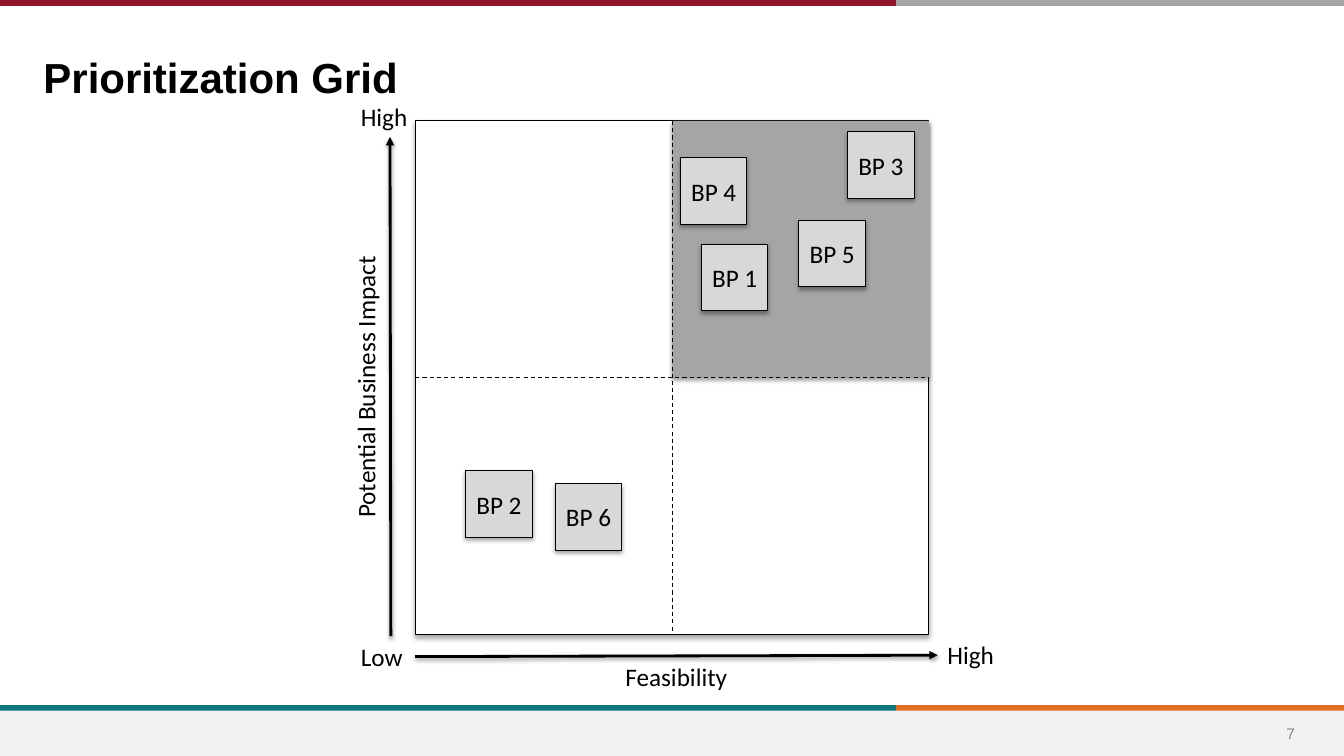
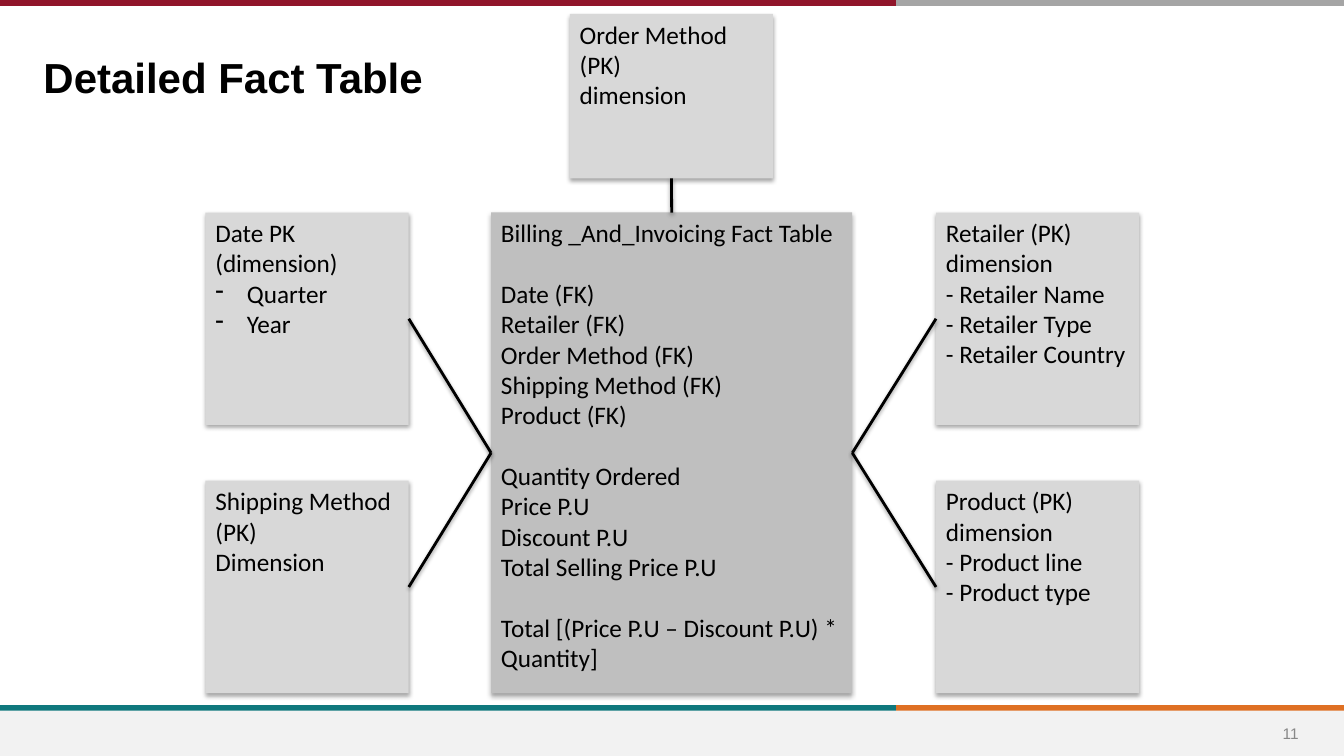
from dataclasses import dataclass
from typing import NamedTuple

from lxml import etree
from pptx import Presentation
from pptx.dml.color import RGBColor
from pptx.enum.dml import MSO_LINE
from pptx.enum.shapes import MSO_CONNECTOR, MSO_SHAPE
from pptx.enum.text import MSO_ANCHOR, PP_ALIGN
from pptx.oxml.ns import qn
from pptx.shapes.autoshape import Shape
from pptx.shapes.connector import Connector
from pptx.slide import Slide
from pptx.text.text import TextFrame
from pptx.util import Pt

RECT = MSO_SHAPE.RECTANGLE
LINE = MSO_CONNECTOR.STRAIGHT
DASH = MSO_LINE.DASH
LEFT, MID = PP_ALIGN.LEFT, PP_ALIGN.CENTER
TOP, CORE = MSO_ANCHOR.TOP, MSO_ANCHOR.MIDDLE
NORTH, WEST, SOUTH, EAST = range(4)


@dataclass(frozen=True)
class Theme:
    ink: str = "000000"
    white: str = "FFFFFF"
    red: str = "90152A"
    gray: str = "A5A5A5"
    teal: str = "0F787D"
    amber: str = "DF7023"
    foot: str = "F2F2F2"
    note: str = "888888"
    card: str = "D8D8D8"
    fact: str = "BFBFBF"
    head: str = "Arial"
    body: str = "Calibri"
    title: float = 30
    text: float = 18
    small: float = 11
    thin: float = 0.75
    bold: float = 2
    band: float = 4


T = Theme()


class Box(NamedTuple):
    x: float
    y: float
    w: float
    h: float


class Para(NamedTuple):
    text: str
    gap: float = 0
    mark: str = ""


class Tile(NamedTuple):
    name: str
    x: float
    y: float


class Label(NamedTuple):
    name: str
    box: Box
    turn: float = 0


class Dim(NamedTuple):
    box: Box
    paras: list[Para]
    side: int
    port: int


WIDE, HIGH = 960, 540
SPLIT = 640
GAP = 22
SIDE = 367
GRID = Box(296.6, 86.4, SIDE, SIDE)
TILE = 47.6
TILES = [
    Tile("BP 3", 605.4, 94.2), Tile("BP 4", 486, 112.8),
    Tile("BP 2", 332.6, 336.4), Tile("BP 1", 501, 174.4),
    Tile("BP 5", 570.6, 157.4), Tile("BP 6", 396.6, 345.4),
]
LABELS = [
    Label("Low", Box(250.6, 454.6, 57, 29)),
    Label("High", Box(669.6, 453.4, 57, 29)),
    Label("High", Box(250.6, 68.6, 57, 29)),
    Label("Feasibility", Box(439.6, 468.8, 142, 30)),
    Label("Potential Business Impact", Box(155.6, 257, 211, 29), 270),
]

ROWS, COLS = (151.8, 343.4), (146.8, 668.6)
CARD = (145.2, 151.8)
FACT = Box(350.8, ROWS[0], 258, 343.4)
FIELDS = [
    Para("Billing _And_Invoicing Fact Table"),
    Para("Date (FK)", GAP), Para("Retailer (FK)"),
    Para("Order Method (FK)"), Para("Shipping Method (FK)"),
    Para("Product (FK)"),
    Para("Quantity Ordered", GAP), Para("Price P.U"),
    Para("Discount P.U"), Para("Total Selling Price P.U"),
    Para("Total [(Price P.U – Discount P.U) * Quantity]", GAP),
]
DIMS = [
    Dim(Box(COLS[1], ROWS[0], *CARD), [
        Para("Retailer (PK) dimension"), Para("- Retailer Name"),
        Para("- Retailer Type"), Para("- Retailer Country"),
    ], WEST, EAST),
    Dim(Box(COLS[1], ROWS[1], *CARD), [
        Para("Product (PK) dimension"), Para("- Product line"),
        Para("- Product type"),
    ], WEST, EAST),
    Dim(Box(COLS[0], ROWS[0], *CARD), [
        Para("Date PK (dimension)"), Para("Quarter", mark="-"),
        Para("Year", mark="-"),
    ], EAST, WEST),
    Dim(Box(COLS[0], ROWS[1], *CARD), [
        Para("Shipping Method (PK)"), Para("Dimension"),
    ], EAST, WEST),
    Dim(Box(407, 10, CARD[0], 117.4), [
        Para("Order Method (PK)"), Para("dimension"),
    ], SOUTH, NORTH),
]


def tint(code: str) -> RGBColor:
    return RGBColor.from_string(code)


def node(root: etree._Element, tag: str, **attrs: str) -> etree._Element:
    return etree.SubElement(root, qn(tag), attrs)


def shade(item: Shape | Connector, dist: float, alpha: int) -> None:
    props = item.element.spPr
    for old in props.findall(qn("a:effectLst")):
        props.remove(old)
    fx = node(props, "a:effectLst")
    if alpha:
        drop = node(fx, "a:outerShdw", blurRad=str(Pt(3.1)),
                    dist=str(Pt(dist)), dir="5400000", rotWithShape="0")
        hue = node(drop, "a:srgbClr", val=T.ink)
        node(hue, "a:alpha", val=str(alpha * 1000))


def write(frame: TextFrame, paras: list[Para], *, size: float = T.text,
          font: str = T.body, color: str = T.ink, bold: bool = False,
          align: PP_ALIGN = LEFT, anchor: MSO_ANCHOR = TOP,
          wrap: bool = True) -> None:
    frame.word_wrap = wrap
    frame.vertical_anchor = anchor
    for i, para in enumerate(paras):
        p = frame.add_paragraph() if i else frame.paragraphs[0]
        p.alignment = align
        if para.gap:
            p.space_before = Pt(para.gap)
        if para.mark:
            props = p._p.get_or_add_pPr()
            props.set("marL", str(Pt(22.5)))
            props.set("indent", str(-Pt(22.5)))
            node(node(props, "a:buClr"), "a:srgbClr", val=color)
            node(props, "a:buChar", char=para.mark)
        run = p.add_run()
        run.text = para.text
        run.font.size = Pt(size)
        run.font.name = font
        run.font.bold = bold
        run.font.color.rgb = tint(color)


def label(slide: Slide, box: Box, text: str, *, turn: float = 0,
          **style) -> None:
    item = slide.shapes.add_textbox(*map(Pt, box))
    item.rotation = turn
    write(item.text_frame, [Para(text)], **style)


def block(slide: Slide, box: Box, fill: str, *, edge: bool = False,
          cast: bool = True) -> Shape:
    item = slide.shapes.add_shape(RECT, *map(Pt, box))
    item.shadow.inherit = False
    item.fill.solid()
    item.fill.fore_color.rgb = tint(fill)
    if edge:
        item.line.color.rgb = tint(T.ink)
        item.line.width = Pt(T.thin)
    else:
        item.line.fill.background()
    if cast:
        shade(item, 1.8, 35)
    return item


def rule(slide: Slide, ends: tuple[float, ...] = (0, 0, 0, 0), *,
         color: str = T.ink, width: float = T.bold, dash: bool = False,
         arrow: bool = False, cast: bool = False) -> Connector:
    item = slide.shapes.add_connector(LINE, *map(Pt, ends))
    item.line.color.rgb = tint(color)
    item.line.width = Pt(width)
    if dash:
        item.line.dash_style = DASH
    if arrow:
        node(item.line._get_or_add_ln(), "a:tailEnd", type="triangle")
    shade(item, 1.6, 38 if cast else 0)
    return item


def join(slide: Slide, start: Shape, out: int, stop: Shape, into: int,
         **style) -> None:
    item = rule(slide, **style)
    item.begin_connect(start, out)
    item.end_connect(stop, into)


def base(deck: Presentation, title: str, page: int) -> Slide:
    slide = deck.slides.add_slide(deck.slide_layouts[6])
    for y, near, far in ((505.6, T.teal, T.amber), (2, T.red, T.gray)):
        rule(slide, (SPLIT, y, WIDE, y), color=far, width=T.band)
        rule(slide, (0, y, SPLIT, y), color=near, width=T.band)
    block(slide, Box(0, 507.6, WIDE, 32.4), T.foot, cast=False)
    label(slide, Box(897, 509, 50, 29), str(page), size=T.small,
          font=T.head, color=T.note, align=MID, anchor=CORE)
    label(slide, Box(24, 33.2, 767, 42.4), title, size=T.title,
          font=T.head, bold=True)
    return slide


def grid(deck: Presentation) -> None:
    slide = base(deck, "Prioritization Grid", 7)
    half = SIDE / 2
    area = block(slide, GRID, T.white, edge=True)
    block(slide, Box(GRID.x + half, GRID.y, half, half), T.gray)
    for out, into in ((WEST, EAST), (NORTH, SOUTH)):
        join(slide, area, out, area, into, width=T.thin, dash=True)
    for name, box, turn in LABELS:
        label(slide, box, name, turn=turn)
    for ends in ((279.2, 454.4, 278.6, 97.8), (296.6, 469, 669.8, 468)):
        rule(slide, ends, arrow=True, cast=True)
    for name, x, y in TILES:
        tile = block(slide, Box(x, y, TILE, TILE), T.card, edge=True)
        write(tile.text_frame, [Para(name)], align=MID, anchor=CORE,
              wrap=False)


def star(deck: Presentation) -> None:
    slide = base(deck, "Detailed Fact Table", 11)
    fact = block(slide, FACT, T.fact)
    write(fact.text_frame, FIELDS)
    for box, paras, side, port in DIMS:
        card = block(slide, box, T.card)
        write(card.text_frame, paras)
        join(slide, card, side, fact, port, cast=True)


def main() -> None:
    deck = Presentation()
    deck.slide_width, deck.slide_height = Pt(WIDE), Pt(HIGH)
    grid(deck)
    star(deck)
    deck.save("out.pptx")


if __name__ == "__main__":
    main()
